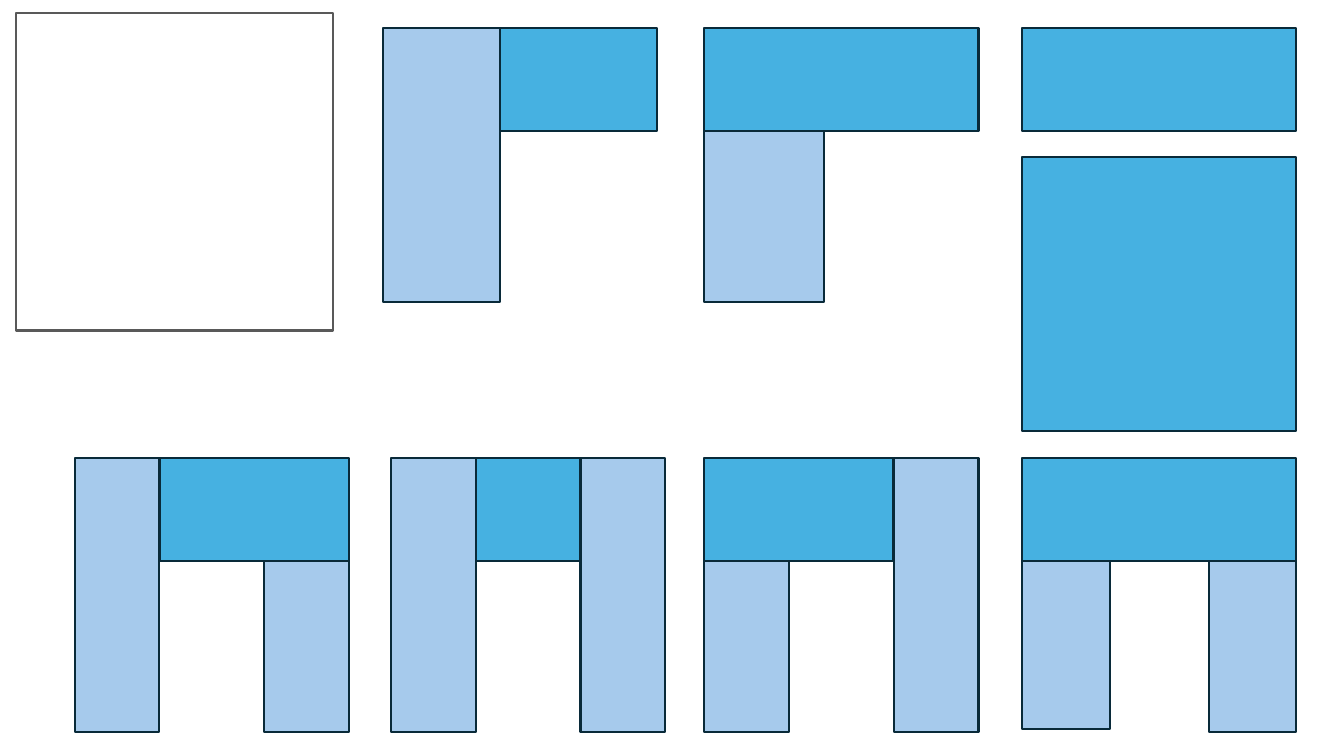
from pptx import Presentation
from pptx import util as u
from pptx.dml.color import RGBColor
from pptx.enum import shapes

HUES = {"leg": "A6CAEC", "bar": "46B1E1", "edge": "092A39", "frame": "595959"}

# Lengths in cm
SIDE = 6.91            # side of the square around each plan
DEEP = 2.6             # depth of a bar
REST = SIDE - DEEP     # length of a leg below a bar
WIDE = 2.95            # leg of the first L plan
HALF = 3.02            # leg of the second L plan
SLIM = 2.14            # leg of a U plan
LAST = 2.21            # leg of the last U plan
COLS = (9.65, 17.75, 25.76)
TOP, MID, LOW = 0.71, 3.96, 11.54

FRAME = (0.4, 0.33, 8.0, 8.0)

# Plan: left, top, parts; part: kind, x, y, width, height inside the plan
PLANS = [
    (COLS[0], TOP, [("leg", 0, 0, WIDE, SIDE),
                    ("bar", WIDE, 0, SIDE - WIDE, DEEP)]),
    (COLS[1], TOP, [("leg", 0, DEEP, HALF, REST),
                    ("bar", 0, 0, SIDE, DEEP)]),
    (COLS[2], TOP, [("bar", 0, 0, SIDE, DEEP)]),
    (COLS[2], LOW, [("leg", 0, DEEP - 0.08, LAST, REST),
                    ("bar", 0, 0, SIDE, DEEP),
                    ("leg", SIDE - LAST, DEEP, LAST, REST)]),
    (1.88, LOW, [("leg", 0, 0, SLIM, SIDE),
                 ("bar", SLIM, 0, SIDE - SLIM, DEEP),
                 ("leg", SIDE - SLIM, DEEP, SLIM, REST)]),
    (9.86, LOW, [("leg", 0, 0, SLIM, SIDE),
                 ("bar", SLIM, 0, SIDE - 2 * SLIM, DEEP),
                 ("leg", SIDE - SLIM, 0, SLIM, SIDE)]),
    (COLS[1], LOW, [("leg", 0, DEEP, SLIM, REST),
                    ("bar", 0, 0, SIDE - SLIM, DEEP),
                    ("leg", SIDE - SLIM, 0, SLIM, SIDE)]),
    (COLS[2], MID, [("bar", 0, 0, SIDE, SIDE)]),
]


def add_box(home, place, edge, fill=None):
    box = home.add_shape(shapes.MSO_SHAPE.RECTANGLE, *map(u.Cm, place))
    box.shadow.inherit = False
    if fill:
        box.fill.solid()
        box.fill.fore_color.rgb = RGBColor.from_string(HUES[fill])
    else:
        box.fill.background()
    box.line.color.rgb = RGBColor.from_string(HUES[edge])
    box.line.width = u.Pt(1.5)


def add_plan(slide, left, top, parts):
    """Draw the parts of one plan, grouped when there are several."""
    home = slide.shapes
    if len(parts) > 1:
        home = home.add_group_shape().shapes
    for kind, x, y, wide, high in parts:
        add_box(home, (left + x, top + y, wide, high), "edge", kind)


def main():
    deck = Presentation()
    deck.slide_width, deck.slide_height = u.Cm(33.87), u.Cm(19.05)
    slide = deck.slides.add_slide(deck.slide_layouts[6])
    add_box(slide.shapes, FRAME, "frame")
    for plan in PLANS:
        add_plan(slide, *plan)
    deck.save("out.pptx")


if __name__ == "__main__":
    main()
